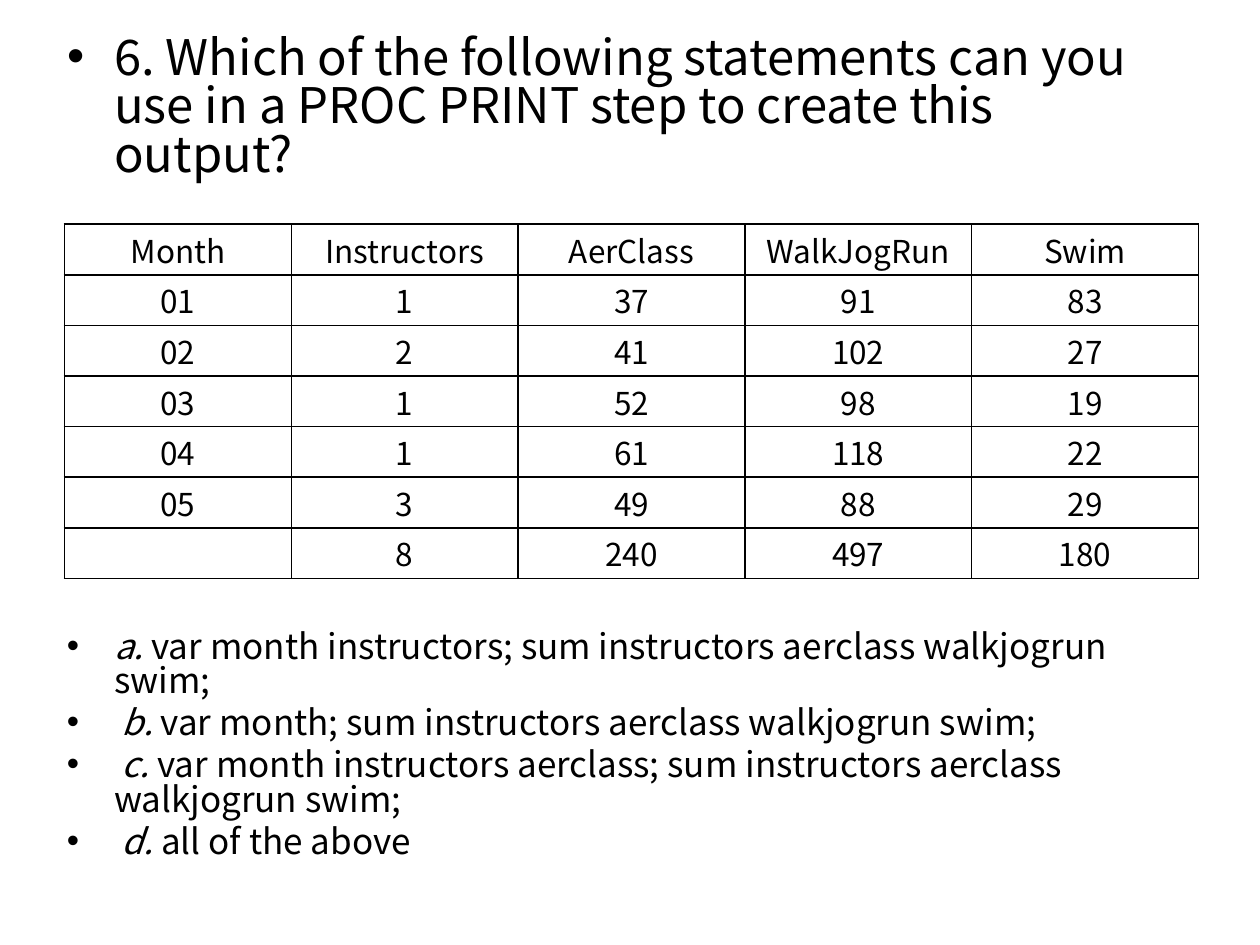
from lxml import etree
from pptx import Presentation
from pptx import util as u
from pptx.dml.color import RGBColor
from pptx.enum import text
from pptx.oxml import ns

FONT = "Noto Sans CJK KR"
HUES = {"ink": "000000"}
INK = RGBColor.from_string(HUES["ink"])


def style(para, size):
    para.font.name = FONT
    para.font.size = u.Pt(size)
    para.font.color.rgb = INK


def bullet(para, size):
    props = para._p.get_or_add_pPr()
    props.set("marL", str(u.Cm(0.95)))
    props.set("indent", str(-u.Cm(0.95)))
    etree.SubElement(props, ns.qn("a:buFont"), typeface="Arial")
    etree.SubElement(props, ns.qn("a:buChar"), char="•")
    para.alignment = text.PP_ALIGN.LEFT
    para.line_spacing = 0.83
    style(para, size)


deck = Presentation()
deck.slide_width, deck.slide_height = u.Cm(25.4), u.Cm(19.05)
slide = deck.slides.add_slide(deck.slide_layouts[5])

title = slide.shapes.title
title.left, title.top = u.Cm(1.1), u.Cm(0.6)
title.width, title.height = u.Cm(22.86), u.Cm(3.8)
frame = title.text_frame
frame.text = "6. Which of the following statements can you use in a PROC PRINT step to create this output?"
frame.word_wrap = True
frame.auto_size = text.MSO_AUTO_SIZE.NONE
frame.vertical_anchor = text.MSO_ANCHOR.TOP
bullet(frame.paragraphs[0], 28)

rows = [
    ["Month", "Instructors", "AerClass", "WalkJogRun", "Swim"],
    ["01", "1", "37", "91", "83"],
    ["02", "2", "41", "102", "27"],
    ["03", "1", "52", "98", "19"],
    ["04", "1", "61", "118", "22"],
    ["05", "3", "49", "88", "29"],
    ["", "8", "240", "497", "180"],
]
grid = slide.shapes.add_table(
    len(rows), len(rows[0]), u.Cm(1.3), u.Cm(4.52), u.Cm(22.86), u.Cm(1.02 * len(rows))
).table
grid.first_row = grid.horz_banding = False
for r, row in enumerate(rows):
    for c, word in enumerate(row):
        cell = grid.cell(r, c)
        cell.text = word
        cell.vertical_anchor = text.MSO_ANCHOR.MIDDLE
        cell.margin_left = cell.margin_right = u.Cm(0.05)
        cell.margin_top = cell.margin_bottom = u.Cm(0.05)
        para = cell.text_frame.paragraphs[0]
        para.alignment = text.PP_ALIGN.CENTER
        style(para, 18)
        props = cell._tc.get_or_add_tcPr()
        for side in ("lnL", "lnR", "lnT", "lnB"):
            edge = etree.SubElement(props, ns.qn("a:" + side), w=str(u.Pt(1)))
            fill = etree.SubElement(edge, ns.qn("a:solidFill"))
            etree.SubElement(fill, ns.qn("a:srgbClr"), val=HUES["ink"])
        cell.fill.background()

picks = [
    ("a. ", "var month instructors; sum instructors aerclass walkjogrun swim;"),
    (" b. ", "var month; sum instructors aerclass walkjogrun swim;"),
    (" c. ", "var month instructors aerclass; sum instructors aerclass walkjogrun swim;"),
    (" d. ", "all of the above"),
]
box = slide.shapes.add_textbox(u.Cm(1.1), u.Cm(12.6), u.Cm(22.86), u.Cm(5.8))
frame = box.text_frame
frame.word_wrap = True
for n, (mark, code) in enumerate(picks):
    para = frame.add_paragraph() if n else frame.paragraphs[0]
    bullet(para, 20)
    if n:
        para.space_before = u.Pt(4)
    run = para.add_run()
    run.text = mark
    run.font.italic = True
    para.add_run().text = code

deck.save("out.pptx")
